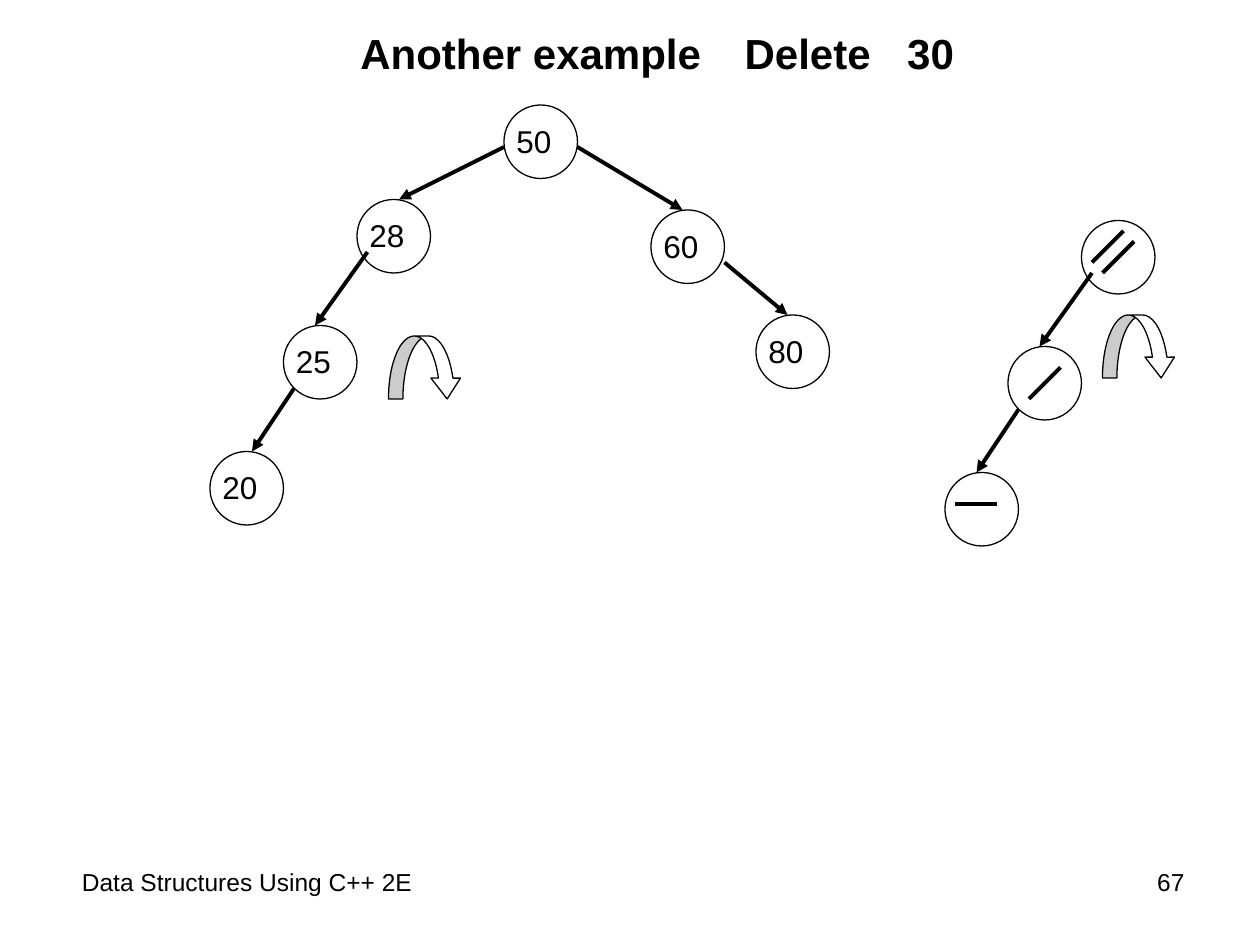
"""Build the AVL tree deletion slide on a grid of twelve units to the inch."""
from lxml import etree
from pptx import Presentation
from pptx import util as u
from pptx.dml.color import RGBColor
from pptx.enum import shapes, text
from pptx.oxml.ns import qn

THEME = {
    "font": "Arial",
    "ink": RGBColor(0, 0, 0),
    "paper": RGBColor(255, 255, 255),
    "title": u.Pt(24),
    "key": u.Pt(18),
    "footer": u.Pt(14),
    "outline": u.Pt(0.75),
    "stroke": u.Pt(2.25),
}
UNITS_PER_INCH = 12
NODE_SIZE = 7

TITLE = "Another example\tDelete\t30"
TITLE_BOX = (18, 2, 90, 6)
TITLE_INDENT = 1.36
TITLE_TABS = (3.05, 4.34)

NODES = [
    ("50", 48, 10), ("28", 34, 19), ("60", 62, 20),
    ("80", 72, 30), ("25", 27, 31), ("20", 20, 43),
    ("", 103, 21), ("", 96, 33), ("", 90, 45),
]
EDGES = [
    (48, 14, 38, 19), (55, 14, 65, 20), (69, 25, 75, 30),
    (35, 24, 30, 31), (28, 37, 24, 43),
    (104, 26, 99, 33), (97, 39, 93, 45),
]
BALANCE_MARKS = [
    (107, 22, 104, 25), (108, 23, 105, 26),
    (101, 35, 98, 38), (95, 48, 91, 48),
]
ROTATIONS = [(105, 30, 7, 6), (37, 32, 7, 6)]
ROTATION_ADJUSTMENTS = (0.23, 0.47, 0.33)
FOOTERS = [
    ("Data Structures Using C++ 2E", (6, 82, 91, 6.2), text.PP_ALIGN.LEFT, 0.15),
    ("67", (103, 82, 11, 6.2), text.PP_ALIGN.RIGHT, 0.1),
]


def grid(*units):
    """Convert grid units to lengths."""
    return [u.Inches(unit / UNITS_PER_INCH) for unit in units]


def apply(target, values):
    """Set each named attribute on the target."""
    for name, value in values.items():
        setattr(target, name, value)


def write(box, words, size, bold=False, align=text.PP_ALIGN.LEFT, indent=0.1, tabs=()):
    """Fill a box with one formatted paragraph."""
    frame = box.text_frame
    apply(frame, {
        "word_wrap": True,
        "auto_size": text.MSO_AUTO_SIZE.NONE,
        "vertical_anchor": text.MSO_ANCHOR.TOP,
        "margin_left": u.Inches(indent),
        "margin_right": u.Inches(0.1),
        "margin_top": u.Inches(0.05),
        "margin_bottom": u.Inches(0.05),
    })
    frame.text = words
    paragraph = frame.paragraphs[0]
    apply(paragraph, {"alignment": align, "space_before": u.Pt(0), "line_spacing": 1.0})
    if tabs:
        stops = etree.SubElement(paragraph._p.get_or_add_pPr(), qn("a:tabLst"))
        for stop in tabs:
            etree.SubElement(stops, qn("a:tab"), pos=str(u.Inches(stop)), algn="l")
    for run in paragraph.runs:
        apply(run.font, {"name": THEME["font"], "size": size, "bold": bold})
        run.font.color.rgb = THEME["ink"]


def add_outlined(slide, preset, box):
    """Add a white preset shape with a thin outline."""
    shape = slide.shapes.add_shape(preset, *grid(*box))
    shape.shadow.inherit = False
    shape.fill.solid()
    shape.fill.fore_color.rgb = THEME["paper"]
    shape.line.color.rgb = THEME["ink"]
    shape.line.width = THEME["outline"]
    return shape


def add_stroke(slide, ends, arrowhead=False):
    """Add a thick straight line, with an arrowhead if asked."""
    stroke = slide.shapes.add_connector(shapes.MSO_CONNECTOR.STRAIGHT, *grid(*ends))
    stroke.line.color.rgb = THEME["ink"]
    stroke.line.width = THEME["stroke"]
    if arrowhead:
        etree.SubElement(stroke.line._get_or_add_ln(), qn("a:tailEnd"), type="triangle")
    etree.SubElement(stroke._element.spPr, qn("a:effectLst"))


def main():
    """Lay out the title, both trees and the footer."""
    deck = Presentation()
    apply(deck, {"slide_width": u.Inches(10), "slide_height": u.Inches(7.5)})
    slide = deck.slides.add_slide(deck.slide_layouts[5])

    title = slide.shapes.title
    apply(title, dict(zip(("left", "top", "width", "height"), grid(*TITLE_BOX))))
    write(title, TITLE, THEME["title"], bold=True, indent=TITLE_INDENT, tabs=TITLE_TABS)

    for key, left, top in NODES:
        add_outlined(slide, shapes.MSO_SHAPE.OVAL, (left, top, NODE_SIZE, NODE_SIZE))
        if key:
            label = slide.shapes.add_textbox(*grid(left, top + 1, 6, 4.8))
            write(label, key, THEME["key"])
    for edge in EDGES:
        add_stroke(slide, edge, arrowhead=True)
    for mark in BALANCE_MARKS:
        add_stroke(slide, mark)
    for box in ROTATIONS:
        rotation = add_outlined(slide, shapes.MSO_SHAPE.CURVED_DOWN_ARROW, box)
        for index, value in enumerate(ROTATION_ADJUSTMENTS):
            rotation.adjustments[index] = value

    for words, box, align, indent in FOOTERS:
        footer = slide.shapes.add_textbox(*grid(*box))
        write(footer, words, THEME["footer"], align=align, indent=indent)

    deck.save("out.pptx")


if __name__ == "__main__":
    main()
